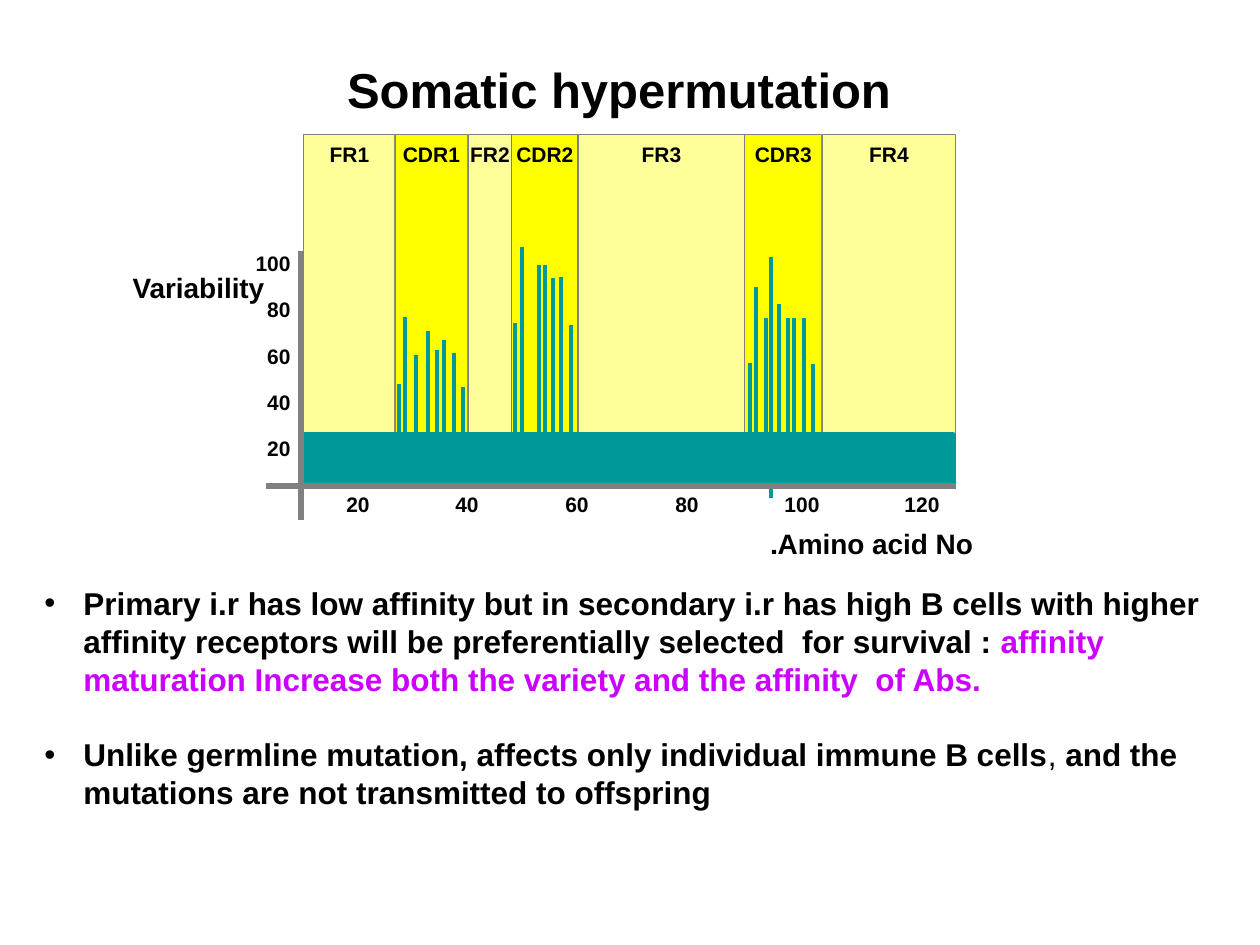
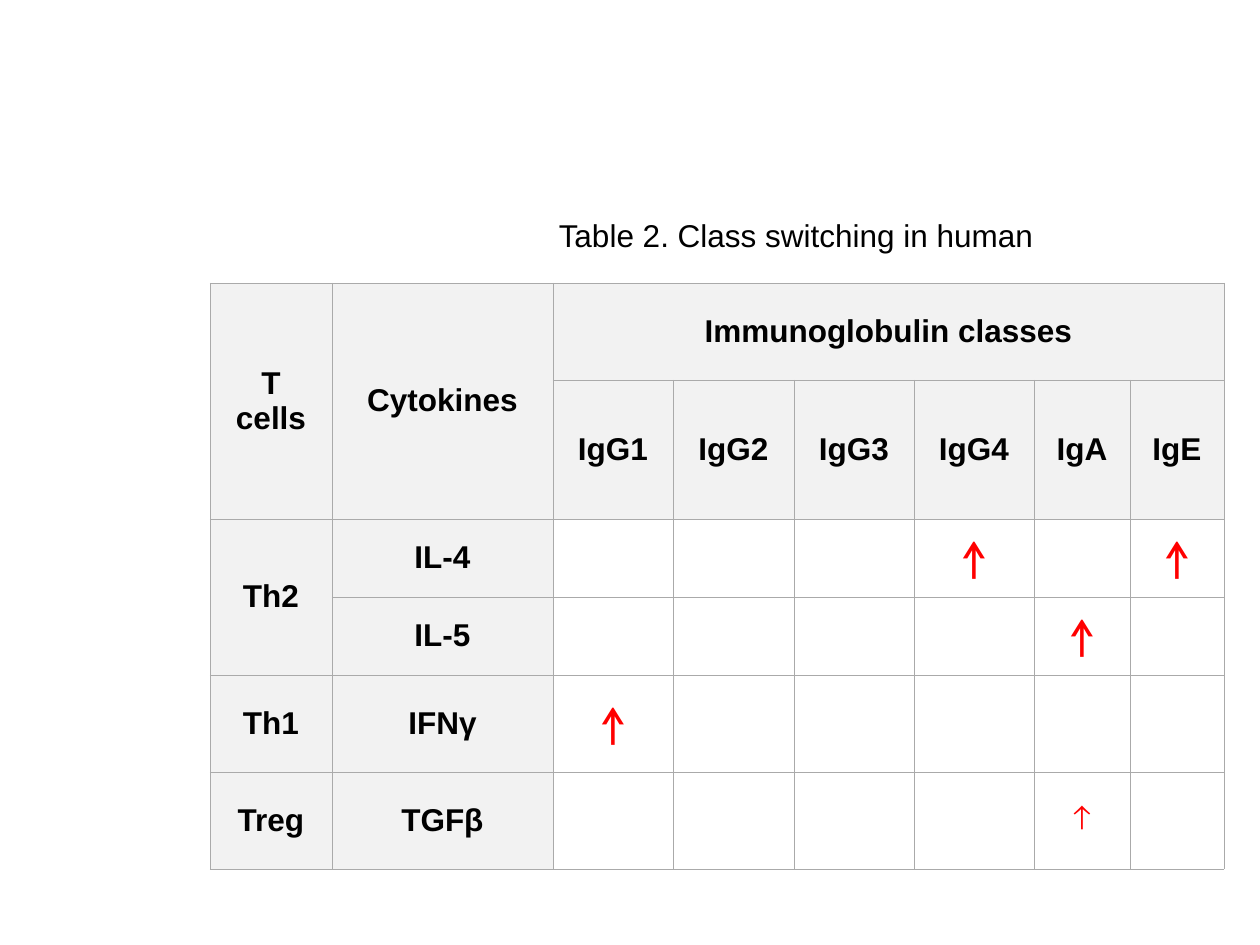
from dataclasses import dataclass
from itertools import pairwise

from lxml import etree
from pptx import Presentation
from pptx import util as u
from pptx.dml.color import RGBColor
from pptx.enum import shapes, text
from pptx.oxml.ns import qn

EMU_PER_PX = 914400 / 126


@dataclass(frozen=True)
class Theme:
    font: str = "Arial"
    ink: str = "000000"
    paper: str = "FFFFFF"
    accent: str = "CC00FF"
    arrow: str = "FF0000"
    framework: str = "FFFF99"
    hypervariable: str = "FFFF00"
    variability: str = "009999"
    axis: str = "808080"
    header: str = "F2F2F2"
    grid: str = "AAAAAA"
    title_size: int = 28
    arrow_size: int = 24
    body_size: int = 18
    axis_title_size: int = 16
    label_size: int = 12
    body_spacing: float = 21.6
    axis_width: float = 3
    bar_width: float = 2.5


THEME = Theme()
CENTER, RIGHT = text.PP_ALIGN.CENTER, text.PP_ALIGN.RIGHT
TOP, MIDDLE = text.MSO_ANCHOR.TOP, text.MSO_ANCHOR.MIDDLE

# Somatic hypermutation
REGIONS = ["FR1", "CDR1", "FR2", "CDR2", "FR3", "CDR3", "FR4"]
REGION_EDGES = [304, 395, 468, 512, 578, 745, 822, 956]
REGION_TOP, REGION_HEIGHT = 135, 350
BASE_BAR = (301, 435, 652, 49)
BAR_FOOT = 455
BAR_TOPS = {  # x: top of each variability bar
    # CDR1
    399: 384, 405: 317, 416: 355, 428: 331, 437: 350, 444: 340, 454: 353, 463: 387,
    # CDR2
    515: 323, 522: 247, 539: 265, 545: 265, 553: 278, 561: 277, 571: 325,
    # CDR3
    750: 363, 756: 287, 766: 318, 771: 257, 779: 304, 788: 318, 794: 318,
    804: 318, 813: 364,
}
LONG_BAR = (771, 498, 771, 260)
AXES = [(301, 251, 301, 520), (266, 486, 956, 486)]
VARIABILITY_TICKS = ["100", "80", "60", "40", "20"]
AMINO_ACID_TICKS = {"20": 358, "40": 467, "60": 577, "80": 687, "100": 802, "120": 922}
NOTES = [
    [
        ("Primary i.r has low affinity but in secondary i.r has high B cells with higher "
         "affinity receptors will be preferentially selected  for survival : ", {}),
        ("affinity maturation Increase both the variety and the affinity  of Abs.",
         {"color": THEME.accent}),
    ],
    [
        ("Unlike germline mutation, affects only individual immune B cells", {}),
        (", ", {"bold": False}),
        ("and the mutations are not transmitted to offspring", {}),
    ],
]

# Class switching
TABLE_LEFT, TABLE_TOP = 210, 283
COLUMN_WIDTHS = [122, 221, 120, 121, 120, 120, 96, 94]
ROW_HEIGHTS = [97, 139, 78, 78, 97, 97]
HEADINGS = {
    (0, 0): "T cells", (0, 1): "Cytokines", (0, 2): "Immunoglobulin classes",
    (2, 0): "Th2", (4, 0): "Th1", (5, 0): "Treg",
}
IG_CLASSES = ["IgG1", "IgG2", "IgG3", "IgG4", "IgA", "IgE"]
CYTOKINES = ["IL-4", "IL-5", "IFNγ", "TGFβ"]
MERGES = [((0, 0), (1, 0)), ((0, 1), (1, 1)), ((0, 2), (0, 7)), ((2, 0), (3, 0))]
STRONG_ARROWS = [("IL-4", "IgG4"), ("IL-4", "IgE"), ("IL-5", "IgA"), ("IFNγ", "IgG1")]
WEAK_ARROWS = [("TGFβ", "IgA")]


def px(*lengths):
    return [u.Emu(round(length * EMU_PER_PX)) for length in lengths]


def rgb(color):
    return RGBColor.from_string(color)


def add_run(paragraph, content, size=THEME.body_size, bold=True, color=THEME.ink):
    run = paragraph.add_run()
    run.text = content
    run.font.name = THEME.font
    run.font.size = u.Pt(size)
    run.font.bold = bold
    run.font.color.rgb = rgb(color)


def write_paragraph(paragraph, content, align=CENTER, rtl=False, **font):
    paragraph.alignment = align
    if rtl:
        paragraph._p.get_or_add_pPr().set("rtl", "1")
    add_run(paragraph, content, **font)


def write(frame, content, anchor=TOP, **style):
    frame.word_wrap = False
    frame.auto_size = text.MSO_AUTO_SIZE.NONE
    frame.vertical_anchor = anchor
    write_paragraph(frame.paragraphs[0], content, **style)


def add_label(slide, box, content, **style):
    write(slide.shapes.add_textbox(*px(*box)).text_frame, content, **style)


def set_title(slide, box, content, **style):
    title = slide.shapes.title
    title.left, title.top, title.width, title.height = px(*box)
    write(title.text_frame, content, anchor=MIDDLE, **style)


def add_block(slide, box, fill, line, line_width):
    shape = slide.shapes.add_shape(shapes.MSO_SHAPE.RECTANGLE, *px(*box))
    shape.shadow.inherit = False
    shape.fill.solid()
    shape.fill.fore_color.rgb = rgb(fill)
    shape.line.color.rgb = rgb(line)
    shape.line.width = u.Pt(line_width)
    return shape


def add_line(slide, ends, color, width):
    connector = slide.shapes.add_connector(shapes.MSO_CONNECTOR.STRAIGHT, *px(*ends))
    connector.line.color.rgb = rgb(color)
    connector.line.width = u.Pt(width)
    etree.SubElement(connector._element.spPr, qn("a:effectLst"))


def add_bullet(paragraph, indent):
    properties = paragraph._p.get_or_add_pPr()
    properties.set("marL", str(indent))
    properties.set("indent", str(-indent))
    color = etree.SubElement(properties, qn("a:buClr"))
    etree.SubElement(color, qn("a:srgbClr"), val=THEME.ink)
    etree.SubElement(properties, qn("a:buFont"), typeface=THEME.font)
    etree.SubElement(properties, qn("a:buChar"), char="•")


def add_notes(slide):
    frame = slide.shapes.add_textbox(*px(32, 578, 1207, 240)).text_frame
    frame.word_wrap = True
    for index, runs in enumerate(NOTES):
        paragraph = frame.add_paragraph() if index else frame.paragraphs[0]
        add_bullet(paragraph, px(39)[0])
        paragraph.line_spacing = u.Pt(THEME.body_spacing)
        if index:
            paragraph.space_before = u.Pt(THEME.body_spacing)
        for content, font in runs:
            add_run(paragraph, content, **font)


def add_variability_plot(slide):
    for name, (left, right) in zip(REGIONS, pairwise(REGION_EDGES)):
        fill = THEME.hypervariable if name.startswith("CDR") else THEME.framework
        box = (left, REGION_TOP, right - left, REGION_HEIGHT)
        region = add_block(slide, box, fill, THEME.axis, 0.5)
        write(region.text_frame, name, size=THEME.label_size)

    add_line(slide, LONG_BAR, THEME.variability, THEME.bar_width)
    add_block(slide, BASE_BAR, THEME.variability, THEME.variability, THEME.axis_width)
    for axis in AXES:
        add_line(slide, axis, THEME.axis, THEME.axis_width)
    for x, top in BAR_TOPS.items():
        add_line(slide, (x, BAR_FOOT, x, top), THEME.variability, THEME.bar_width)

    for index, tick in enumerate(VARIABILITY_TICKS):
        add_label(slide, (243, 244 + round(46.3 * index), 60, 38), tick,
                  align=RIGHT, size=THEME.label_size)
    for tick, x in AMINO_ACID_TICKS.items():
        add_label(slide, (x - 30, 485, 60, 38), tick, size=THEME.label_size)
    add_label(slide, (119, 264, 159, 47), "Variability", size=THEME.axis_title_size)
    add_label(slide, (758, 520, 228, 47), "Amino acid No.", rtl=True,
              size=THEME.axis_title_size)


def style_cell(cell, fill):
    properties = cell._tc.get_or_add_tcPr()
    for side in ("lnL", "lnR", "lnT", "lnB"):
        border = etree.SubElement(properties, qn(f"a:{side}"), w="760")
        solid = etree.SubElement(border, qn("a:solidFill"))
        etree.SubElement(solid, qn("a:srgbClr"), val=THEME.grid)
    cell.fill.solid()
    cell.fill.fore_color.rgb = rgb(fill)
    cell.vertical_anchor = MIDDLE


def add_switching_table(slide):
    box = (TABLE_LEFT, TABLE_TOP, sum(COLUMN_WIDTHS), sum(ROW_HEIGHTS))
    table = slide.shapes.add_table(len(ROW_HEIGHTS), len(COLUMN_WIDTHS), *px(*box)).table
    table.first_row = table.horz_banding = False
    for column, width in zip(table.columns, px(*COLUMN_WIDTHS)):
        column.width = width
    for row, height in zip(table.rows, px(*ROW_HEIGHTS)):
        row.height = height
    for row in range(len(ROW_HEIGHTS)):
        for column in range(len(COLUMN_WIDTHS)):
            is_heading = row < 2 or column < 2
            style_cell(table.cell(row, column), THEME.header if is_heading else THEME.paper)
    for first, last in MERGES:
        table.cell(*first).merge(table.cell(*last))

    def fill_cell(row, column, content, **style):
        write_paragraph(table.cell(row, column).text_frame.paragraphs[0], content, **style)

    class_columns = {name: index for index, name in enumerate(IG_CLASSES, 2)}
    cytokine_rows = {name: index for index, name in enumerate(CYTOKINES, 2)}
    for place, heading in HEADINGS.items():
        fill_cell(*place, heading)
    for name, column in class_columns.items():
        fill_cell(1, column, name)
    for name, row in cytokine_rows.items():
        fill_cell(row, 1, name)
    for pairs, size, bold in ((STRONG_ARROWS, THEME.arrow_size, True),
                              (WEAK_ARROWS, THEME.body_size, False)):
        for cytokine, ig_class in pairs:
            fill_cell(cytokine_rows[cytokine], class_columns[ig_class], "↑",
                      rtl=True, size=size, bold=bold, color=THEME.arrow)


def main():
    presentation = Presentation()
    presentation.slide_width, presentation.slide_height = px(1260, 945)
    title_only = presentation.slide_layouts[5]

    hypermutation = presentation.slides.add_slide(title_only)
    set_title(hypermutation, (239, 53, 760, 72), "Somatic hypermutation",
              size=THEME.title_size)
    add_variability_plot(hypermutation)
    add_notes(hypermutation)

    switching = presentation.slides.add_slide(title_only)
    set_title(switching, (496, 209, 600, 51), "Table 2. Class switching in human",
              bold=False)
    add_switching_table(switching)

    presentation.save("out.pptx")


if __name__ == "__main__":
    main()
